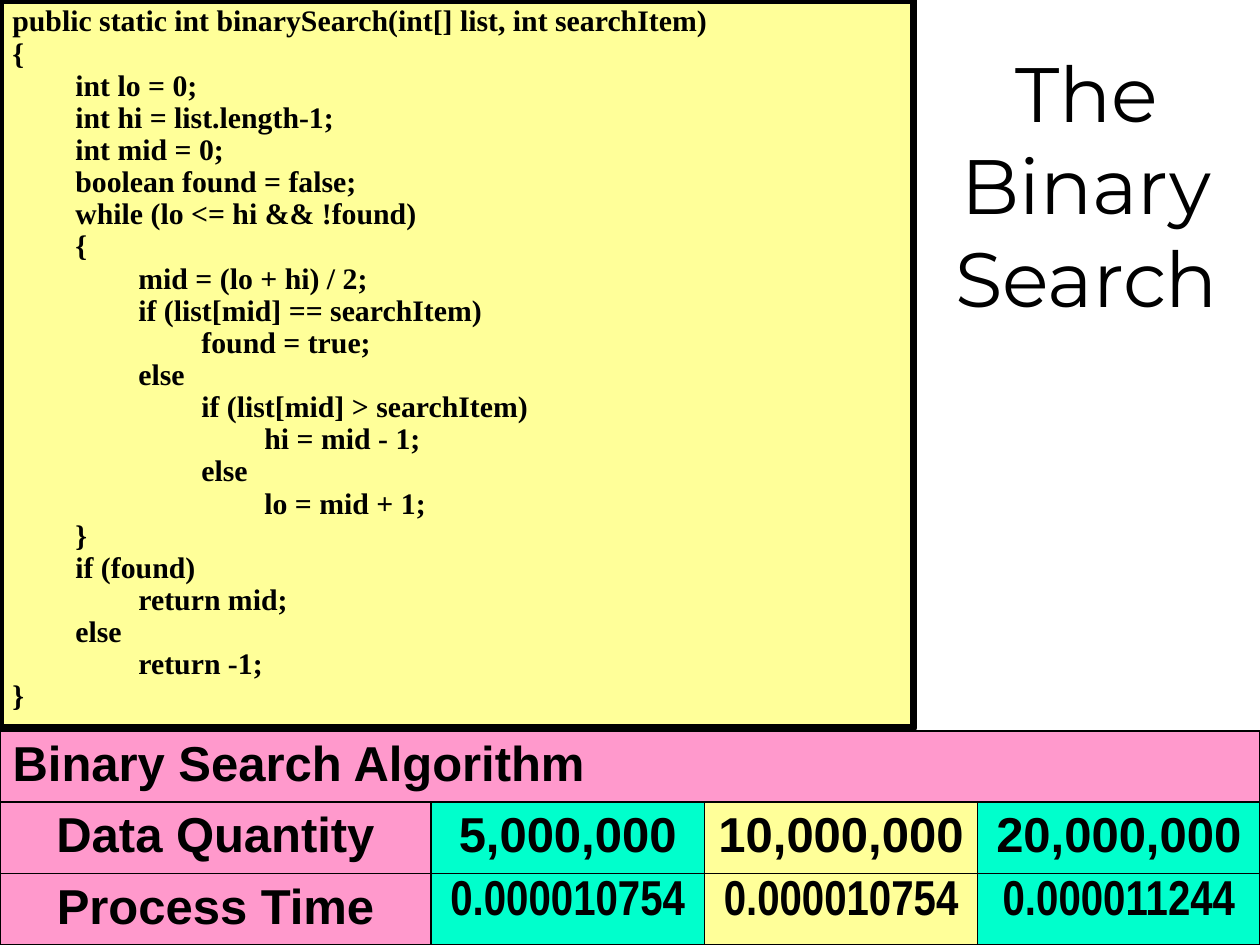
from lxml.etree import SubElement
from pptx import Presentation
from pptx.dml.color import RGBColor
from pptx.enum.shapes import MSO_SHAPE
from pptx.enum.text import MSO_ANCHOR, MSO_AUTO_SIZE, PP_ALIGN
from pptx.oxml.ns import qn
from pptx.util import Inches, Pt

BLACK, YELLOW, PINK, GREEN = "000000", "FFFF99", "FF99CC", "00FFCC"

# Each pair is an indent level and a line of code.
CODE = [
    (0, "public static int binarySearch(int[] list, int searchItem)"),
    (0, "{"),
    (1, "int lo = 0;"),
    (1, "int hi = list.length-1;"),
    (1, "int mid = 0;"),
    (1, "boolean found = false;"),
    (1, "while (lo <= hi && !found)"),
    (1, "{"),
    (2, "mid = (lo + hi) / 2;"),
    (2, "if (list[mid] == searchItem)"),
    (3, "found = true;"),
    (2, "else"),
    (3, "if (list[mid] > searchItem)"),
    (4, "hi = mid - 1;"),
    (3, "else"),
    (4, "lo = mid + 1;"),
    (1, "}"),
    (1, "if (found)"),
    (2, "return mid;"),
    (1, "else"),
    (2, "return -1;"),
    (0, "}"),
]
HEADING = "Binary Search Algorithm"
ROWS = [
    ("Arial", ["Data Quantity", "5,000,000", "10,000,000", "20,000,000"]),
    ("Arial Narrow", ["Process Time", "0.000010754", "0.000010754", "0.000011244"]),
]
COLUMN_FILLS = [PINK, GREEN, YELLOW, GREEN]


def color(value):
    return RGBColor.from_string(value)


def write(para, text, font, size, bold=False, align=PP_ALIGN.LEFT, level=0, spacing=None):
    """Fill a paragraph; level counts half-inch indents."""
    para.text = text
    para.alignment = align
    if spacing:
        para.line_spacing = spacing
    if level:
        properties = para._p.get_or_add_pPr()
        properties.set("marL", str(Inches(0.5 * level)))
        properties.set("indent", "0")
    for span in para.runs:
        span.font.name = font
        span.font.size = Pt(size)
        span.font.bold = bold
        span.font.color.rgb = color(BLACK)


def add_borders(cell):
    properties = cell._tc.get_or_add_tcPr()
    for position, side in enumerate(("a:lnL", "a:lnR", "a:lnT", "a:lnB")):
        line = SubElement(properties, qn(side), w=str(Pt(1)))
        fill = SubElement(line, qn("a:solidFill"))
        SubElement(fill, qn("a:srgbClr"), val=BLACK)
        properties.insert(position, line)


class SlideBuilder:
    def __init__(self, deck):
        self.page = deck.slides.add_slide(deck.slide_layouts[5])

    def title(self, text, left, top, width, height):
        box = self.page.shapes.title
        box.left, box.top = Inches(left), Inches(top)
        box.width, box.height = Inches(width), Inches(height)
        frame = box.text_frame
        frame.word_wrap = True
        frame.auto_size = MSO_AUTO_SIZE.NONE
        frame.vertical_anchor = MSO_ANCHOR.MIDDLE
        write(frame.paragraphs[0], text, "Montserrat", 44, align=PP_ALIGN.CENTER)

    def code(self, lines, left, top, width, height):
        box = self.page.shapes.add_shape(
            MSO_SHAPE.RECTANGLE, Inches(left), Inches(top), Inches(width), Inches(height))
        box.shadow.inherit = False
        box.fill.solid()
        box.fill.fore_color.rgb = color(YELLOW)
        box.line.color.rgb = color(BLACK)
        box.line.width = Pt(4.5)
        frame = box.text_frame
        frame.word_wrap = True
        frame.vertical_anchor = MSO_ANCHOR.TOP
        for index, (level, text) in enumerate(lines):
            para = frame.add_paragraph() if index else frame.paragraphs[0]
            write(para, text, "Times New Roman", 17, bold=True, level=level, spacing=0.9)

    def cell(self, cell, text, fill, font, align):
        cell.fill.solid()
        cell.fill.fore_color.rgb = color(fill)
        add_borders(cell)
        write(cell.text_frame.paragraphs[0], text, font, 28, bold=True, align=align)

    def timings(self, heading, rows, widths, left, top, width, height):
        table = self.page.shapes.add_table(
            len(rows) + 1, len(widths),
            Inches(left), Inches(top), Inches(width), Inches(height)).table
        for column, column_width in zip(table.columns, widths):
            column.width = Inches(column_width)
        table.cell(0, 0).merge(table.cell(0, len(widths) - 1))
        for column in range(len(widths)):
            self.cell(table.cell(0, column), "" if column else heading,
                      PINK, "Arial", PP_ALIGN.JUSTIFY)
        for row, (value_font, values) in enumerate(rows, start=1):
            for column, text in enumerate(values):
                font = value_font if column else "Arial"
                self.cell(table.cell(row, column), text, COLUMN_FILLS[column],
                          font, PP_ALIGN.CENTER)


def main():
    deck = Presentation()
    deck.slide_width, deck.slide_height = Inches(10), Inches(7.5)
    slide = SlideBuilder(deck)
    slide.timings(HEADING, ROWS, [3.42, 2.17, 2.17, 2.24], 0, 5.8, 10, 1.7)
    slide.code(CODE, 0, 0, 7.25, 5.78)
    slide.title("The\vBinary Search", 7.25, 0, 2.75, 2.92)
    deck.save("out.pptx")


if __name__ == "__main__":
    main()
